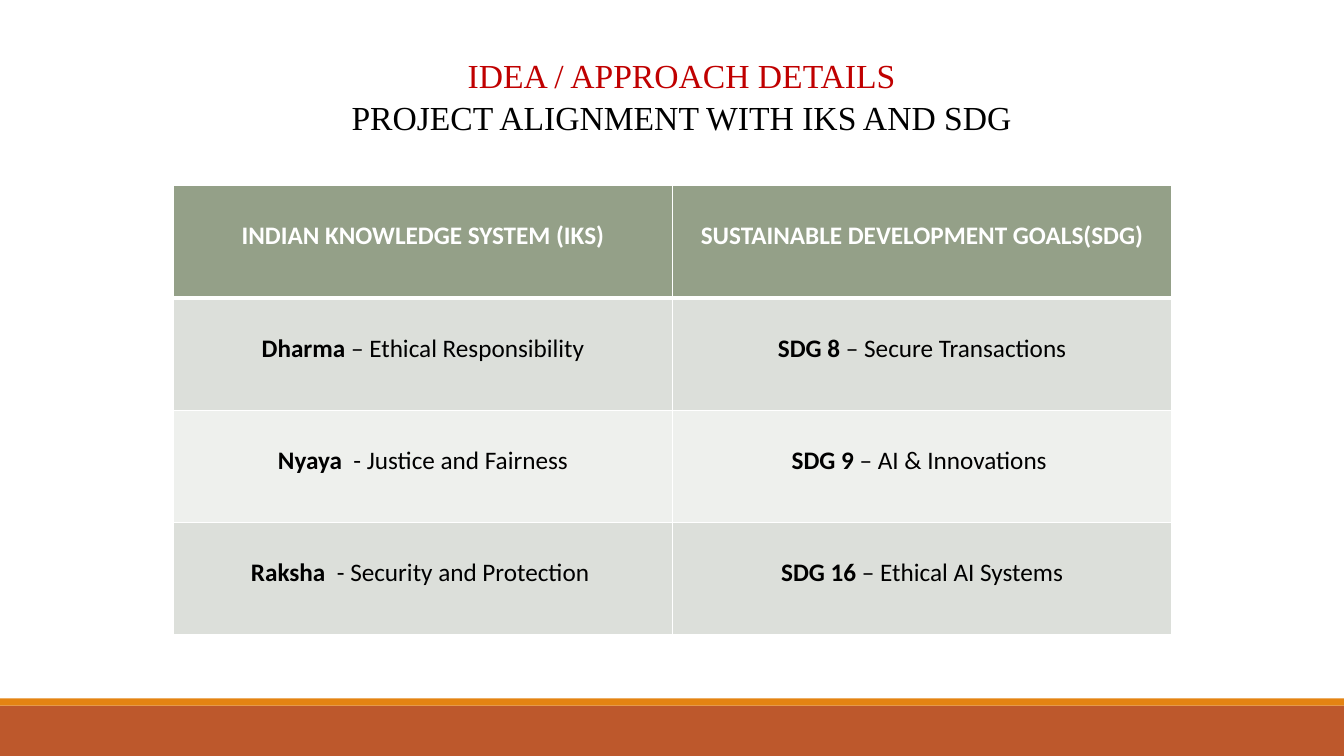
import pptx
import pptx.util
import pptx.dml.color
import pptx.enum.shapes
import pptx.enum.text
import pptx.oxml
import pptx.oxml.ns
from lxml import etree

Inches, Pt = pptx.util.Inches, pptx.util.Pt
CENTER = pptx.enum.text.PP_ALIGN.CENTER


def color(h):
    return pptx.dml.color.RGBColor.from_string(h)


def border(cell, side, width):
    pr = cell._tc.get_or_add_tcPr()
    ln = etree.SubElement(pr, pptx.oxml.ns.qn("a:" + side), w=str(Pt(width)))
    fill = etree.SubElement(ln, pptx.oxml.ns.qn("a:solidFill"))
    etree.SubElement(fill, pptx.oxml.ns.qn("a:srgbClr"), val="FFFFFF")


prs = pptx.Presentation()
prs.slide_width, prs.slide_height = Inches(13.33), Inches(7.5)
s = prs.slides.add_slide(prs.slide_layouts[5])

for top, height, fill in [(7, 0.5, "BD582C"), (6.93, 0.07, "E48312")]:
    sp = s.shapes.add_shape(pptx.enum.shapes.MSO_SHAPE.RECTANGLE,
                            0, Inches(top), prs.slide_width, Inches(height))
    sp.shadow.inherit = False
    sp.fill.solid()
    sp.fill.fore_color.rgb = color(fill)
    sp.line.fill.background()

title = s.shapes.title
title.left, title.top, title.width, title.height = map(Inches, (0.76, 0.48, 12, 1.25))
tf = title.text_frame
tf.word_wrap = True
tf.auto_size = pptx.enum.text.MSO_AUTO_SIZE.NONE
tf.vertical_anchor = pptx.enum.text.MSO_ANCHOR.TOP
tf.text = "IDEA / APPROACH DETAILS\nPROJECT ALIGNMENT WITH IKS AND SDG"
for p, ink in zip(tf.paragraphs, ("C00000", "000000")):
    p.alignment = CENTER
    p.line_spacing = 1.04
    f = p.runs[0].font
    f.size, f.name, f.color.rgb = Pt(24), "Times New Roman", color(ink)

rows = [
    [("INDIAN KNOWLEDGE SYSTEM (IKS)",), ("SUSTAINABLE DEVELOPMENT GOALS(SDG)",)],
    [("Dharma ", "– Ethical Responsibility"), ("SDG 8 ", "– Secure Transactions")],
    [("Nyaya ", " - Justice and Fairness"), ("SDG 9 ", "– AI & Innovations ")],
    [("Raksha ", " - Security and Protection "), ("SDG 16 ", "– Ethical AI Systems")],
]
fills = ["94A088", "DCDFDA", "EEF0ED", "DCDFDA"]
table = s.shapes.add_table(len(rows), 2, Inches(1.72), Inches(1.84),
                           Inches(9.9), Inches(4.46)).table
for i, row in enumerate(rows):
    for j, parts in enumerate(row):
        cell = table.cell(i, j)
        cell.margin_top = Inches(0.35)
        for side in ("lnL", "lnR", "lnT", "lnB"):
            header_rule = (i, side) in [(0, "lnB"), (1, "lnT")]
            border(cell, side, 3 if header_rule else 1)
        cell.fill.solid()
        cell.fill.fore_color.rgb = color(fills[i])
        p = cell.text_frame.paragraphs[0]
        p.alignment = CENTER
        for k, part in enumerate(parts):
            r = p.add_run()
            r.text = part
            r.font.size, r.font.name, r.font.bold = Pt(18), "Calibri", k == 0
            r.font.color.rgb = color("000000" if i else "FFFFFF")

prs.save("out.pptx")
